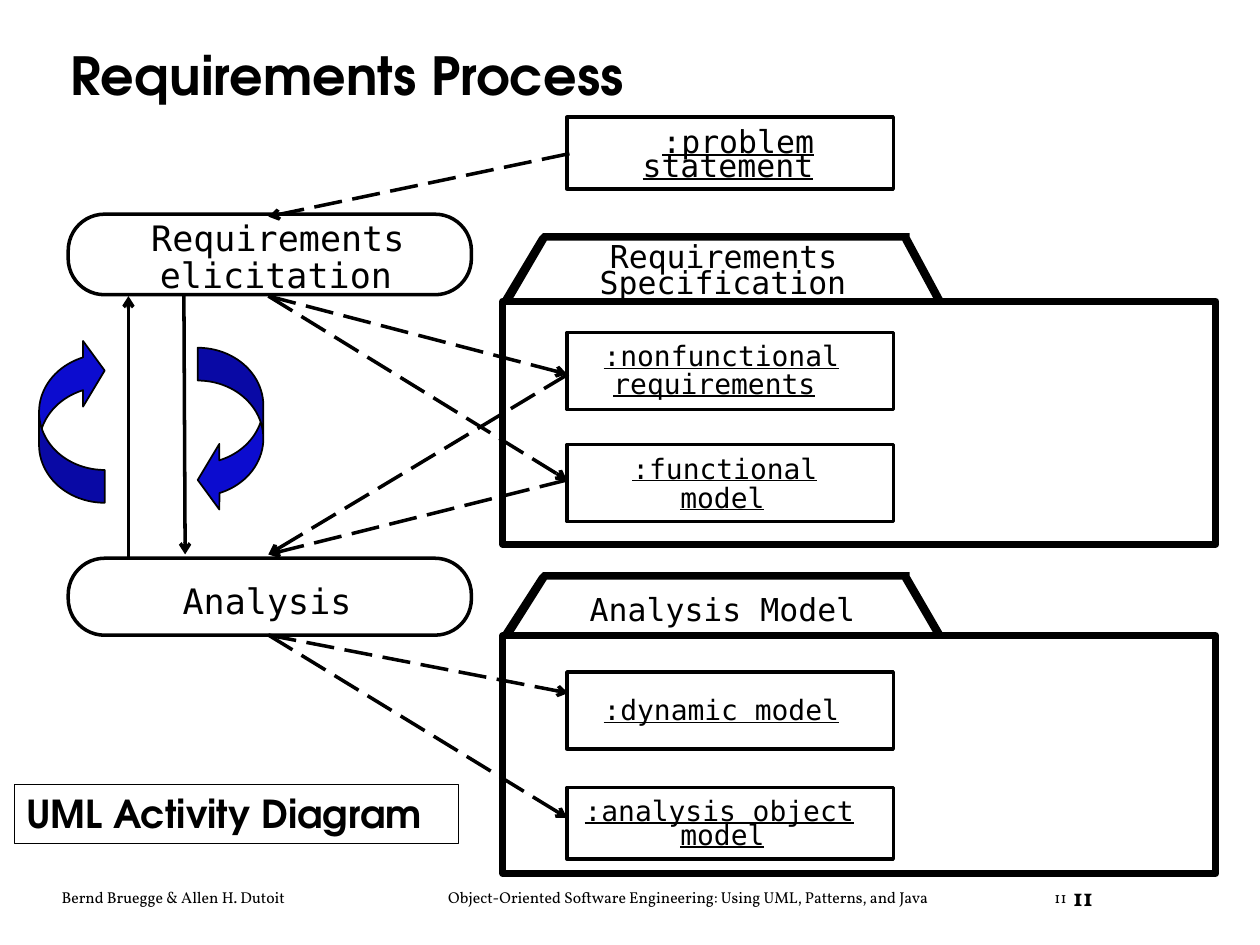
"""Build the Requirements Process activity diagram slide."""
from lxml.etree import SubElement
from pptx import Presentation
from pptx.dml.color import RGBColor
from pptx.enum.dml import MSO_LINE_DASH_STYLE as Dash
from pptx.enum.shapes import MSO_CONNECTOR as Link, MSO_SHAPE as Preset
from pptx.enum.text import MSO_ANCHOR as Anchor, MSO_AUTO_SIZE as Fit, PP_ALIGN as Align
from pptx.oxml.ns import qn
from pptx.util import Pt

COLORS = {"ink": "000000", "arrow": "0C0CCF"}
MONO, HEADING, SERIF = "DejaVu Sans Mono", "TeX Gyre Adventor", "Vollkorn"

TITLE = "Requirements Process"
CAPTION = "UML Activity Diagram"
FOOTER = [
    "Bernd Bruegge & Allen H. Dutoit",
    "Object-Oriented Software Engineering: Using UML, Patterns, and Java",
    "11",
]
FOOTER_STOPS = [221, 567.4]
PAGE_NUMBER = "11"

PACKAGE_LEFT, PACKAGE_WIDTH = 287.3, 407.5
PACKAGES = [
    {"tab": 133.2, "body": 172.1, "height": 139},
    {"tab": 326.9, "body": 363.2, "height": 136},
]
OBJECT_LEFT, OBJECT_WIDTH = 324, 186.5
OBJECTS = [(67, 41), (190, 44), (254, 44), (384, 44), (450, 41)]
ACTIVITY_LEFT, ACTIVITY_WIDTH = 39, 230.4
ACTIVITIES = [(122.4, 46, 0.451), (319, 44, 0.473)]

ACTIVITY_LABELS = [
    ("Requirements", 86.4, 123.8), ("elicitation", 91.4, 144.7), ("Analysis", 104.4, 331.2),
]
PACKAGE_LABELS = [
    ("Requirements", 348.5, 135.4), ("Specification", 342.7, 150.5),
    ("Analysis Model", 337, 337),
]
INPUT_LABELS = [(":problem", 378.5, 69.8), ("statement", 367.2, 83.5)]
MODEL_LABELS = [
    (":nonfunctional", 344.9, 193.7), ("requirements", 350.6, 209.5),
    (":functional", 361.4, 257.8), ("model", 388.8, 274.3),
    (":dynamic model", 344.9, 396),
    (":analysis object", 334.1, 453.6), ("model", 388.8, 467.3),
]

FLOW_X = 153.4
FLOWS = [
    ((325.4, 87.8), (FLOW_X, 123.8)),
    ((FLOW_X, 169.2), (324, 213.8)),
    ((FLOW_X, 169.2), (324, 274.3)),
    ((324.7, 213.8), (FLOW_X, 316.8)),
    ((324, 274.3), (FLOW_X, 316.8)),
    ((FLOW_X, 362.9), (324.7, 396)),
    ((FLOW_X, 362.9), (324, 467.3)),
]
TRANSITIONS = [((105.1, 169.2), (105.8, 316.8)), ((73.4, 319), (73.4, 169.2))]
CYCLE = [(113, 198.7, 0), (22.3, 193, 180)]


def rgb(name):
    return RGBColor.from_string(COLORS[name])


def write(shape, text, *, size, font, bold=False, underline=False, inset=(7.2, 3.6),
          anchor=Anchor.TOP, wrap=True, spacing=None):
    frame = shape.text_frame
    frame.auto_size, frame.word_wrap, frame.vertical_anchor = Fit.NONE, wrap, anchor
    frame.margin_left = frame.margin_right = Pt(inset[0])
    frame.margin_top = frame.margin_bottom = Pt(inset[1])
    para = frame.paragraphs[0]
    para.alignment, para.line_spacing = Align.LEFT, spacing
    span = para.add_run()
    span.text = text
    span.font.size, span.font.name = Pt(size), font
    span.font.bold, span.font.underline = bold, underline
    span.font.color.rgb = rgb("ink")
    return para


def add_text(page, text, left, top, width, height, **style):
    box = page.shapes.add_textbox(Pt(left), Pt(top), Pt(width), Pt(height))
    return write(box, text, **style)


def add_labels(page, labels, size, underline=False):
    for text, left, top in labels:
        add_text(page, text, left, top, len(text) * size * 0.602, size * 1.2, size=size,
                 font=MONO, underline=underline, inset=(0, 0), wrap=False)


def add_outline(page, preset, left, top, width, height, weight, fill=None):
    shape = page.shapes.add_shape(preset, Pt(left), Pt(top), Pt(width), Pt(height))
    shape.shadow.inherit = False
    if fill:
        shape.fill.solid()
        shape.fill.fore_color.rgb = rgb(fill)
    else:
        shape.fill.background()
    shape.line.color.rgb, shape.line.width = rgb("ink"), Pt(weight)
    return shape


def add_arrow(page, start, end, dash=None):
    line = page.shapes.add_connector(Link.STRAIGHT, *map(Pt, start + end))
    line.line.color.rgb, line.line.width = rgb("ink"), Pt(2)
    if dash:
        line.line.dash_style = dash
    SubElement(line.line._get_or_add_ln(), qn("a:tailEnd"), type="arrow")
    SubElement(line._element.spPr, qn("a:effectLst"))


def add_bar(page, points):
    corners = [(Pt(x), Pt(y)) for x, y in points]
    builder = page.shapes.build_freeform(*corners[0])
    builder.add_line_segments(corners[1:], close=True)
    bar = builder.convert_to_shape()
    bar.shadow.inherit = False
    bar.fill.solid()
    bar.fill.fore_color.rgb = rgb("ink")
    bar.line.fill.background()


def add_package(page, tab, body, height):
    add_outline(page, Preset.RECTANGLE, PACKAGE_LEFT, body, PACKAGE_WIDTH, height, 3.88)
    middle, under, foot = tab + 2.1, tab + 4.3, body - 1.8
    add_bar(page, [(287.3, foot), (292.3, body), (312.5, under), (310.3, tab),
                   (308.2, middle)])
    add_bar(page, [(310.3, tab), (310.3, under), (517.7, under), (519.8, middle),
                   (519.8, tab)])
    add_bar(page, [(519.8, middle), (515.5, under), (534.2, body), (540.7, body),
                   (538.6, foot)])


def main():
    deck = Presentation()
    deck.slide_width, deck.slide_height = Pt(720), Pt(540)
    page = deck.slides.add_slide(deck.slide_layouts[5])

    title = page.shapes.title
    title.left, title.top, title.width, title.height = map(Pt, (33.1, 10.8, 642.2, 67.7))
    write(title, TITLE, size=30, font=HEADING, bold=True, anchor=Anchor.MIDDLE, spacing=0.9)

    add_text(page, PAGE_NUMBER, 606.2, 500.4, 82, 24.5, size=14, font=SERIF, bold=True)
    footer = add_text(page, "\t".join(FOOTER), 28.1, 504, 660.2, 18, size=9, font=SERIF)
    stops = SubElement(footer._p.get_or_add_pPr(), qn("a:tabLst"))
    for stop in FOOTER_STOPS:
        SubElement(stops, qn("a:tab"), pos=str(Pt(stop)), algn="l")

    for package in PACKAGES:
        add_package(page, **package)
    for top, height in OBJECTS:
        add_outline(page, Preset.RECTANGLE, OBJECT_LEFT, top, OBJECT_WIDTH, height, 2)
    for top, height, rounding in ACTIVITIES:
        activity = add_outline(page, Preset.ROUNDED_RECTANGLE, ACTIVITY_LEFT, top,
                               ACTIVITY_WIDTH, height, 2)
        activity.adjustments[0] = rounding

    add_labels(page, ACTIVITY_LABELS, 20)
    add_labels(page, PACKAGE_LABELS, 18)
    add_labels(page, INPUT_LABELS, 18, underline=True)
    add_labels(page, MODEL_LABELS, 16, underline=True)

    for start, end in FLOWS:
        add_arrow(page, start, end, Dash.LONG_DASH)
    for start, end in TRANSITIONS:
        add_arrow(page, start, end)
    for left, top, turn in CYCLE:
        curve = add_outline(page, Preset.CURVED_LEFT_ARROW, left, top, 37.5, 94.3, 1, "arrow")
        curve.rotation = turn
        for index, value in enumerate((0.5, 1, 0.33)):
            curve.adjustments[index] = value

    caption = add_outline(page, Preset.RECTANGLE, 8, 448, 254, 33.8, 0.25)
    write(caption, CAPTION, size=22, font=HEADING, bold=True)
    deck.save("out.pptx")


if __name__ == "__main__":
    main()
